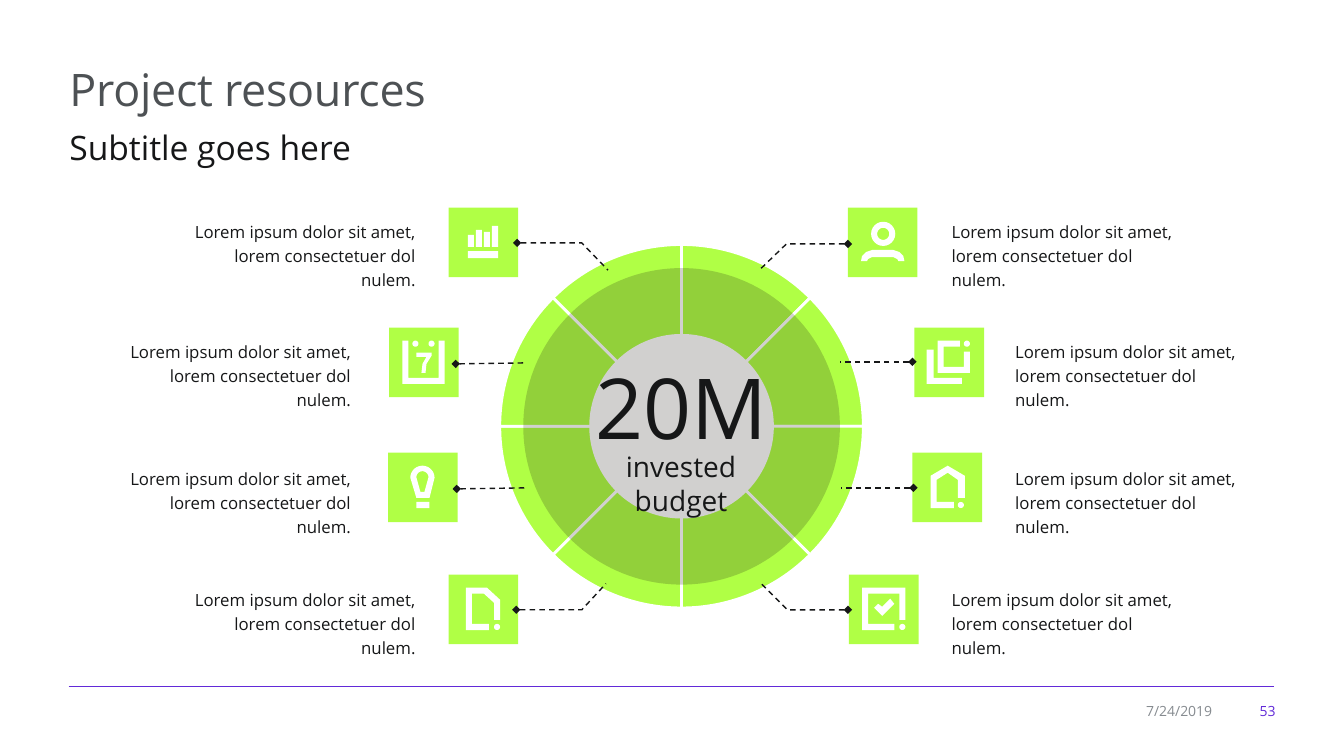
from math import cos, pi, sin

from lxml.etree import SubElement
from pptx import Presentation
from pptx.chart.data import CategoryChartData
from pptx.chart.point import Point
from pptx.dml.color import RGBColor
from pptx.enum.chart import XL_CHART_TYPE
from pptx.enum.dml import MSO_LINE
from pptx.enum.shapes import MSO_CONNECTOR, MSO_SHAPE
from pptx.enum.text import MSO_ANCHOR, PP_ALIGN
from pptx.oxml import parse_xml
from pptx.oxml.ns import nsdecls, qn
from pptx.util import Inches, Pt

FONT = "Open Sans"
INK, LIME, PURPLE = "161718", "B0FF45", "622AD8"
UNIT = Inches(1) / 10000
ICON_SIZE = 0.69
LOREM = "Lorem ipsum dolor sit amet,\nlorem consectetuer dol nulem."


def color(value):
    return RGBColor.from_string(value)


def arc(x, y, radius, sweep=360, steps=24):
    angles = [pi + sweep * pi / 180 * step / steps for step in range(steps + 1)]
    return [(x + radius * cos(angle), y + radius * sin(angle)) for angle in angles]


def bar(left, top, right, bottom):
    return [(left, top), (right, top), (right, bottom), (left, bottom)]


ICONS = {
    "bars": [bar(19, 43, 49, 50), bar(19, 27, 25, 39), bar(27, 22, 33, 39),
             bar(35, 24, 41, 39), bar(43, 18, 49, 39)],
    "calendar": [
        [(55, 13), (55, 56), (13, 56), (13, 13), (19, 13), (19, 50), (49, 50), (49, 13)],
        arc(26, 16, 3), arc(42, 16, 3),
        [(36, 45), (37, 36), (42, 28), (42, 25), (27, 25), (27, 29), (37, 29), (33, 36), (32, 45)]],
    "bulb": [arc(34, 25, 12, 180) + [(41, 45), (28, 45)],
             arc(34, 24.5, 6, 180) + [(36, 39), (32, 39)], bar(28, 49, 41, 55)],
    "file": [
        [(51, 25), (51, 45), (45, 45), (45, 28), (35, 19), (23, 19),
         (23, 49), (40, 49), (40, 55), (17, 55), (17, 13), (38, 13)],
        arc(48, 52, 3)],
    "person": [
        arc(35, 26, 12), arc(35, 26, 6),
        [(56, 53), (50, 53), (49, 51), (45, 49), (24, 49), (20, 51), (19, 53),
         (13, 53), (14, 48), (18, 44), (24, 42), (45, 42), (51, 44), (55, 48)]],
    "layers": [
        [(49, 24), (55, 24), (55, 45), (23, 45), (23, 13),
         (45, 13), (45, 19), (29, 19), (29, 39), (49, 39)],
        [(19, 22), (12, 22), (12, 56), (47, 56), (47, 50), (19, 50)],
        arc(52, 16, 3)],
    "house": [
        [(52, 23), (52, 45), (45, 45), (45, 27), (35, 20), (24, 27),
         (24, 49), (41, 49), (41, 55), (18, 55), (18, 23), (35, 13)],
        arc(48, 52, 3)],
    "check": [
        [(19, 49), (45, 49), (45, 55), (13, 55), (13, 13),
         (56, 13), (56, 45), (50, 45), (50, 19), (19, 19)],
        arc(53, 52, 3),
        [(29, 29), (25, 33), (33, 41), (45, 29), (41, 24), (33, 32)]],
}

RESOURCES = [
    ("bars", 4.45, 2.06, 1.7, 2.11, [(5.13, 2.41), (5.77, 2.41), (6.03, 2.68)]),
    ("calendar", 3.86, 3.25, 1.06, 3.3, [(4.52, 3.61), (5.22, 3.6)]),
    ("bulb", 3.85, 4.49, 1.06, 4.56, [(4.53, 4.85), (5.22, 4.84)]),
    ("file", 4.45, 5.7, 1.7, 5.76, [(5.12, 6.05), (5.77, 6.05), (6.01, 5.79)]),
    ("person", 8.41, 2.06, 9.34, 2.11, [(8.41, 2.42), (7.8, 2.42), (7.52, 2.69)]),
    ("layers", 9.07, 3.25, 9.97, 3.3, [(9.05, 3.59), (8.33, 3.59)]),
    ("house", 9.05, 4.49, 9.97, 4.56, [(9.06, 4.84), (8.34, 4.84)]),
    ("check", 8.42, 5.7, 9.34, 5.76, [(8.41, 6.05), (7.81, 6.05), (7.53, 5.77)]),
]


def add_text(slide, box, text, size, fill=INK, align=PP_ALIGN.LEFT, spacing=None,
             anchor=MSO_ANCHOR.TOP):
    shape = slide.shapes.add_textbox(*map(Inches, box))
    frame = shape.text_frame
    frame.word_wrap = True
    frame.vertical_anchor = anchor
    frame.text = text
    for paragraph in frame.paragraphs:
        paragraph.alignment = align
        if spacing:
            paragraph.line_spacing = spacing
        for run in paragraph.runs:
            run.font.name, run.font.size = FONT, Pt(size)
            run.font.color.rgb = color(fill)
    return shape


def paint(shape, fill):
    shape.shadow.inherit = False
    shape.fill.solid()
    shape.fill.fore_color.rgb = color(fill)
    shape.line.fill.background()


def add_line(slide, start, end, fill, width):
    line = slide.shapes.add_connector(MSO_CONNECTOR.STRAIGHT, *map(Inches, start + end))
    SubElement(line._element.spPr, qn("a:effectLst"))
    line.line.color.rgb = color(fill)
    line.line.width = Pt(width)
    return line


def build_outline(slide, contours, left=0, top=0, close=True):
    scaled = [[(x * 100, y * 100) for x, y in contour] for contour in contours]
    builder = slide.shapes.build_freeform(*scaled[0][0], scale=UNIT)
    for index, contour in enumerate(scaled):
        if index:
            builder.move_to(*contour[0])
        builder.add_line_segments(contour[1:], close=close)
    return builder.convert_to_shape(Inches(left), Inches(top))


def add_icon(slide, name, left, top):
    tile = slide.shapes.add_shape(MSO_SHAPE.RECTANGLE, *map(Inches, (left, top, ICON_SIZE, ICON_SIZE)))
    paint(tile, LIME)
    paint(build_outline(slide, ICONS[name], left, top), "FFFFFF")


def add_leader(slide, points):
    if len(points) == 2:
        leader = add_line(slide, *points, INK, 1)
    else:
        leader = build_outline(slide, [[(x * 100, y * 100) for x, y in points]], close=False)
        leader.shadow.inherit = False
        leader.fill.background()
        leader.line.color.rgb = color(INK)
        leader.line.width = Pt(1)
    leader.line.dash_style = MSO_LINE.DASH
    SubElement(leader.line._get_or_add_ln(), qn("a:headEnd"), type="diamond")


def add_header(slide, left, top):
    title = add_text(slide, (left, top, 12.16, 0.66), "Project resources", 32, "4D5154")
    title.text_frame.paragraphs[0].runs[0].font._element.set("spc", "-20")
    add_text(slide, (left, top + 0.58, 12.03, 0.54), "Subtitle goes here", 24, spacing=1.17)


def add_budget_wheel(slide, left, top):
    data = CategoryChartData()
    data.categories = ["1", "2", "3", "4"]
    data.add_series("Series 1", [12] * 8)
    box = map(Inches, (left, top, 3.92, 3.94))
    chart = slide.shapes.add_chart(XL_CHART_TYPE.DOUGHNUT, *box, data).chart
    chart.has_legend = chart.has_title = False
    chart.font.name, chart.font.size = FONT, Pt(10)
    chart.font.color.rgb = color(INK)
    series = chart.plots[0].series[0]
    for index in range(8):
        style = Point(series._element, index).format
        style.fill.solid()
        style.fill.fore_color.rgb = color(LIME)
        style.line.color.rgb = color("FFFFFF")
        style.line.width = Pt(2)
    area = chart._chartSpace.chart.plotArea
    next(area.iter(qn("c:holeSize"))).set("val", "77")
    for layout in area.findall(qn("c:layout")):
        area.remove(layout)
    settings = [("layoutTarget", "inner"), ("xMode", "edge"), ("yMode", "edge"),
                ("x", 0.04), ("y", 0.04), ("w", 0.92), ("h", 0.92)]
    marks = "".join(f'<c:{tag} val="{value}"/>' for tag, value in settings)
    area.insert(0, parse_xml(f'<c:layout {nsdecls("c")}><c:manualLayout>{marks}</c:manualLayout></c:layout>'))

    disc = slide.shapes.add_shape(MSO_SHAPE.OVAL, *map(Inches, (left + 0.39, top + 0.4, 3.14, 3.14)))
    paint(disc, "1B140F")
    SubElement(next(disc._element.spPr.iter(qn("a:srgbClr"))), qn("a:alpha"), val="20000")
    add_text(slide, (left + 0.99, top + 1.22, 1.94, 1.11), "20M", 60, align=PP_ALIGN.CENTER)
    add_text(slide, (left + 0.84, top + 2.15, 2.23, 0.44), "invested budget", 20, align=PP_ALIGN.CENTER)


def add_resource(slide, icon, icon_left, icon_top, text_left, text_top, leader):
    align = PP_ALIGN.RIGHT if text_left < icon_left else PP_ALIGN.LEFT
    add_icon(slide, icon, icon_left, icon_top)
    add_text(slide, (text_left, text_top, 2.52, 0.57), LOREM, 12, align=align, spacing=1.2)
    add_leader(slide, leader)


def add_footer(slide, left, top):
    add_line(slide, (left, top), (left + 11.96, top), PURPLE, 0.75)
    for text, offset, width, fill in (("53", 11.56, 0.51, PURPLE), ("7/24/2019", 10.49, 0.95, "868B90")):
        add_text(slide, (left + offset, top + 0.11, width, 0.26), text, 10, fill,
                 PP_ALIGN.RIGHT, anchor=MSO_ANCHOR.MIDDLE)


def main():
    presentation = Presentation()
    presentation.slide_width, presentation.slide_height = Inches(13.33), Inches(7.5)
    slide = presentation.slides.add_slide(presentation.slide_layouts[6])
    add_header(slide, 0.59, 0.56)
    add_budget_wheel(slide, 4.8, 2.26)
    for resource in RESOURCES:
        add_resource(slide, *resource)
    add_footer(slide, 0.68, 6.81)
    presentation.save("out.pptx")


if __name__ == "__main__":
    main()
